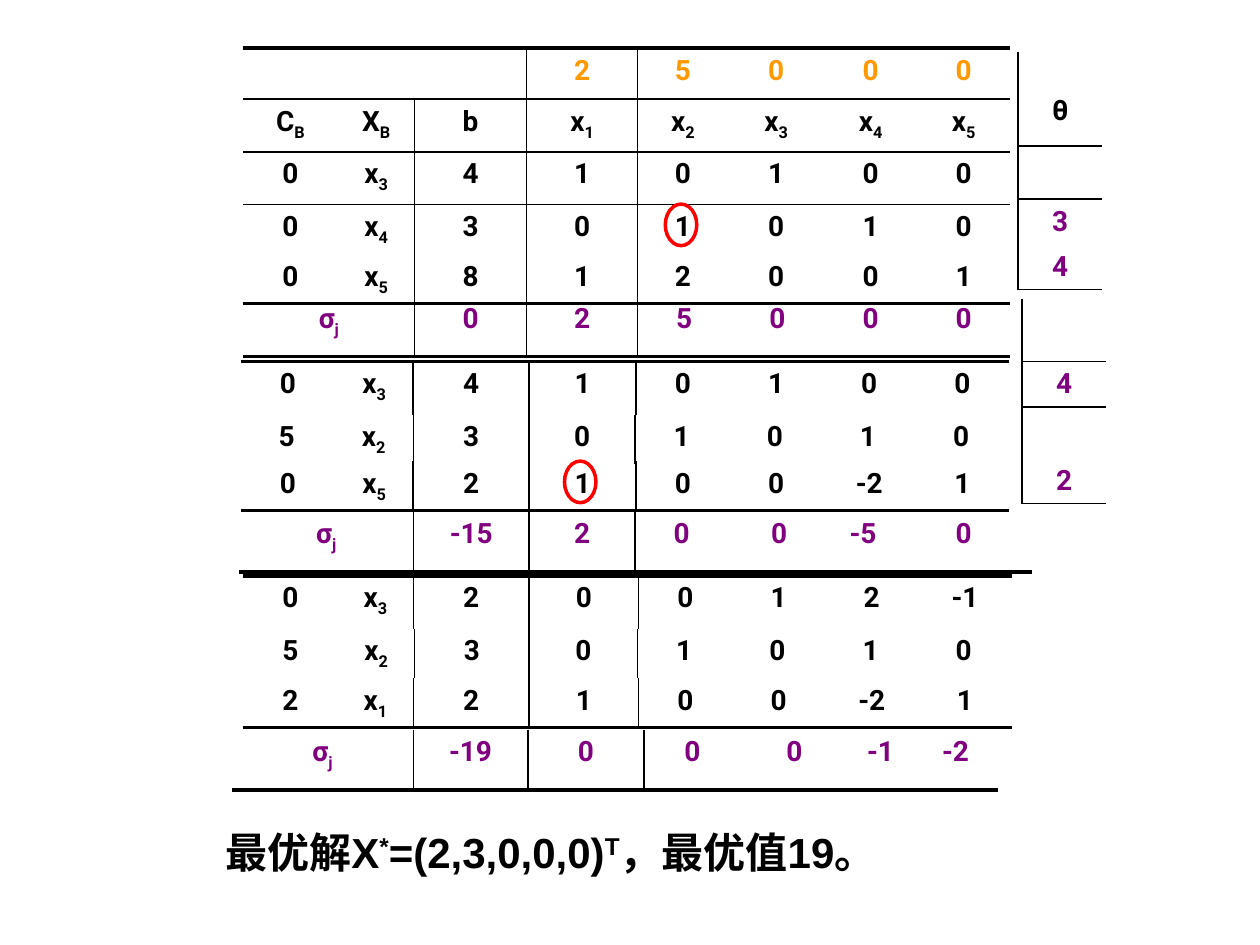
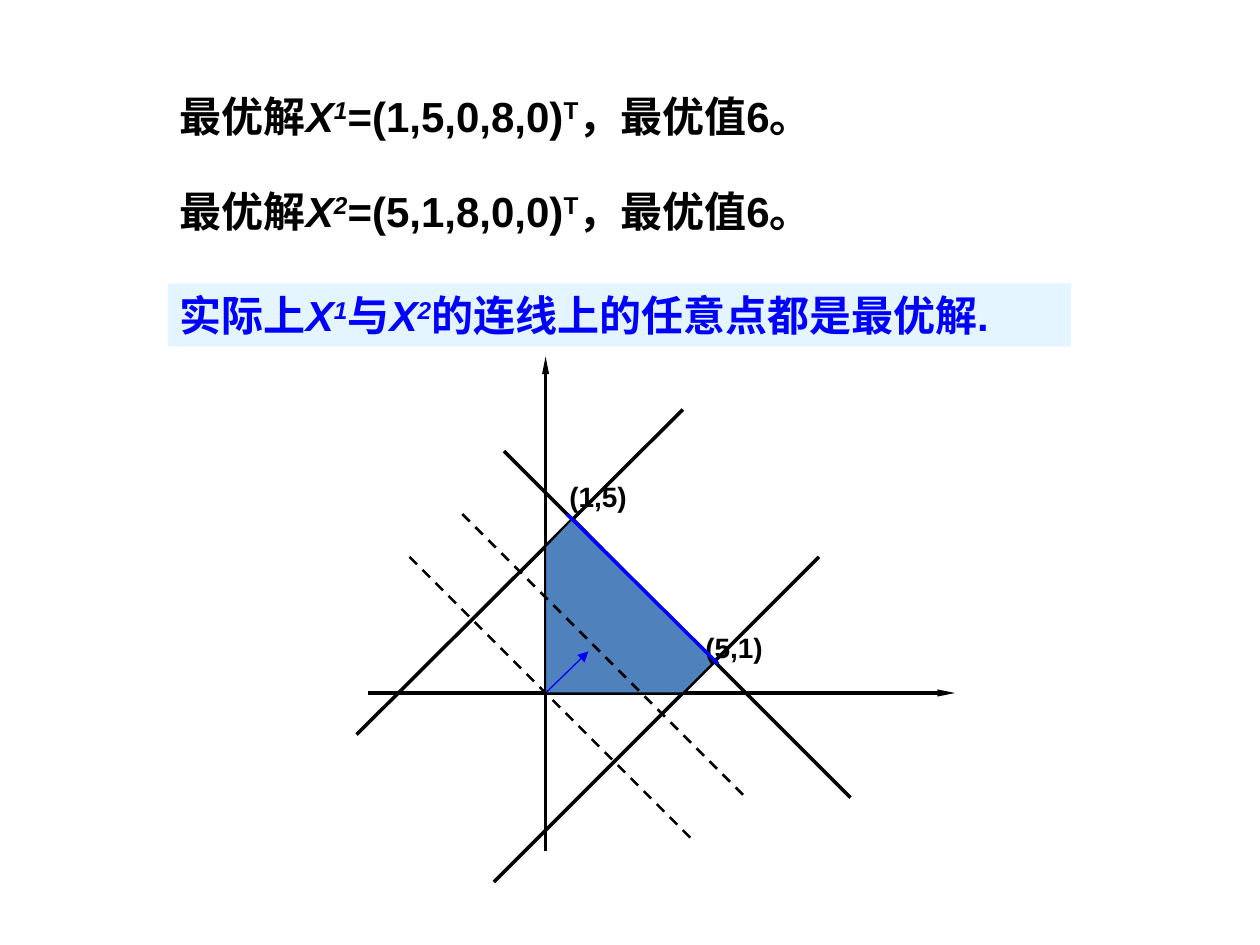
import pptx
import pptx.dml.color
import pptx.enum.dml
import pptx.enum.shapes
import pptx.enum.text
import pptx.oxml.ns
import pptx.util
from lxml import etree
from pptx.util import Inches

BLACK, PURPLE, ORANGE, RED, BLUE = "000000", "800080", "FF9900", "FF0000", "0000FF"
REGION_FILL, NOTE_FILL = "4F81BD", "CCECFF"
HEAVY, THIN = 2.25, 1
NO_TABLE_STYLE = "{2D5ABB26-0587-4C30-8999-92F81FD0307C}"
BASELINES = {"^": "30000", "_": "-25000"}
ANCHOR = pptx.enum.text.MSO_ANCHOR
qn = pptx.oxml.ns.qn


def rgb(value):
    return pptx.dml.color.RGBColor.from_string(value)


def child(parent, tag, **attrs):
    return etree.SubElement(parent, qn(tag), attrs)


class Deck:
    body = {"name": "Arial", "size": pptx.util.Pt(24), "bold": True}
    label = {**body, "size": pptx.util.Pt(16)}
    figure = {**label, "name": "Roboto"}

    def __init__(self):
        self.prs = pptx.Presentation()
        self.prs.slide_width, self.prs.slide_height = Inches(10), Inches(7.5)

    def new_slide(self):
        self.s = self.prs.slides.add_slide(self.prs.slide_layouts[6])

    def add_runs(self, p, text, style, color):
        for part in text.split("|"):
            r = p.add_run()
            for name, value in style.items():
                setattr(r.font, name, value)
            r.font.color.rgb = rgb(color)
            if part.startswith("/"):
                r.font.italic = True
                part = part[1:]
            if part[:1] in BASELINES:
                r.font._element.set("baseline", BASELINES[part[0]])
                part = part[1:]
            r.text = part

    def fill_frame(self, sp, text, style, color, anchor):
        tf = sp.text_frame
        tf.word_wrap = True
        tf.auto_size = pptx.enum.text.MSO_AUTO_SIZE.SHAPE_TO_FIT_TEXT
        tf.vertical_anchor = anchor
        tf.paragraphs[0].alignment = pptx.enum.text.PP_ALIGN.LEFT
        self.add_runs(tf.paragraphs[0], text, style, color)

    def text(self, box, text, style=body, anchor=ANCHOR.TOP):
        sp = self.s.shapes.add_textbox(*map(Inches, box))
        self.fill_frame(sp, text, style, BLACK, anchor)

    def note(self, box, text, color):
        sp = self.s.shapes.add_shape(
            pptx.enum.shapes.MSO_SHAPE.RECTANGLE, *map(Inches, box))
        sp.shadow.inherit = False
        sp.fill.solid()
        sp.fill.fore_color.rgb = rgb(NOTE_FILL)
        child(next(sp._element.spPr.iter(qn("a:srgbClr"))), "a:alpha", val="50000")
        sp.line.fill.background()
        self.fill_frame(sp, text, self.body, color, ANCHOR.TOP)

    def pivot(self, left, top):
        sp = self.s.shapes.add_shape(
            pptx.enum.shapes.MSO_SHAPE.OVAL,
            *map(Inches, (left, top, 0.25, 0.33)))
        sp.shadow.inherit = False
        sp.fill.background()
        sp.line.color.rgb = rgb(RED)
        sp.line.width = pptx.util.Pt(2)

    def line(self, start, end, color=BLACK, width=2, dash=False, arrow=None):
        sp = self.s.shapes.add_connector(
            pptx.enum.shapes.MSO_CONNECTOR.STRAIGHT, *map(Inches, start + end))
        sp.line.color.rgb = rgb(color)
        sp.line.width = pptx.util.Pt(width)
        if dash:
            sp.line.dash_style = pptx.enum.dml.MSO_LINE.DASH
        if arrow:
            w, length = arrow
            child(sp.line._get_or_add_ln(), "a:tailEnd",
                  type="triangle", w=w, len=length)
        child(sp._element.spPr, "a:effectLst")

    def region(self, points):
        points = [tuple(map(Inches, point)) for point in points]
        builder = self.s.shapes.build_freeform(*points[0])
        builder.add_line_segments(points[1:], close=True)
        sp = builder.convert_to_shape()
        sp.shadow.inherit = False
        sp.fill.solid()
        sp.fill.fore_color.rgb = rgb(REGION_FILL)
        sp.line.color.rgb = rgb(BLACK)
        sp.line.width = pptx.util.Pt(0.75)

    def borders(self, cell, weights):
        tcPr = cell._tc.get_or_add_tcPr()
        for side, weight in zip("LRTB", weights):
            if weight:
                ln = child(tcPr, "a:ln" + side, w=str(pptx.util.Pt(weight)))
                child(child(ln, "a:solidFill"), "a:srgbClr", val=BLACK)
        cell.fill.background()

    def table(self, left, top, height, cols, rows, texts, colors,
              across, down, head_span=0):
        frame = self.s.shapes.add_table(
            len(rows), len(cols), *map(Inches, (left, top, sum(cols), height)))
        t = frame.table
        t.first_row = t.horz_banding = False
        next(frame._element.iter(qn("a:tableStyleId"))).text = NO_TABLE_STYLE
        for column, width in zip(t.columns, cols):
            column.width = Inches(width)
        for row, row_height in zip(t.rows, rows):
            row.height = Inches(row_height)
        frame.height = Inches(height)
        if head_span:
            t.cell(0, 0).merge(t.cell(0, head_span - 1))
        for i, line in enumerate(texts):
            edges = [e for e in down if i or e >= head_span]
            for j, text in enumerate(line):
                cell = t.cell(i, j)
                self.borders(cell, (THIN * (j in edges), THIN * (j + 1 in edges),
                                    across[i], across[i + 1]))
                if text:
                    p = cell.text_frame.paragraphs[0]
                    p.alignment = pptx.enum.text.PP_ALIGN.CENTER
                    self.add_runs(p, text, self.figure, colors[i])
        return t

    def strip(self, left, top, height, cols, text, across, color=BLACK):
        edges = (1, 2) if color == PURPLE else (2, 3)
        self.table(left, top, height, cols, [height], [text.split()], [color],
                   across, edges)


def simplex_slide(deck):
    deck.new_slide()
    start = ["C|_B X|_B b x|_1 x|_2 x|_3 x|_4 x|_5",
             "0 x|_3 4 1 0 1 0 0", "0 x|_4 3 0 1 0 1 0", "0 x|_5 8 1 2 0 0 1"]
    deck.table(1.93, 0.38, 1.93, [0.75, 0.61, 0.89, 0.88, 0.72, 0.76, 0.74, 0.74],
               [0.33, 0.42, 0.42, 0.25, 0.2],
               [["", "", "", *"25000"]] + [line.split() for line in start],
               [ORANGE] + [BLACK] * 4, [HEAVY, THIN, THIN, 0, 0, HEAVY], (2, 3), 3)

    rest = [0.74] * 4
    opened, plain, closed = (HEAVY, 0), (0, 0), (0, HEAVY)
    basis_rows = [
        (1.91, 2.87, 0.42, [0.75, 0.62, 0.92, 0.85], "0 x|_3 4 1 0 1 0 0", opened),
        (1.9, 3.29, 0.37, [0.75, 0.63, 0.92, 0.84], "5 x|_2 3 0 1 0 1 0", plain),
        (1.91, 3.66, 0.37, [0.75, 0.62, 0.92, 0.85], "0 x|_5 2 1 0 0 -2 1", closed),
        (1.93, 4.57, 0.42, [0.75, 0.6, 0.92, 0.87], "0 x|_3 2 0 0 1 2 -1", opened),
        (1.93, 4.99, 0.37, [0.75, 0.61, 0.91, 0.86], "5 x|_2 3 0 1 0 1 0", plain),
        (1.93, 5.38, 0.37, [0.75, 0.6, 0.92, 0.87], "2 x|_1 2 1 0 0 -2 1", closed),
    ]
    for left, top, height, cols, text, across in basis_rows:
        deck.strip(left, top, height, cols + rest, text, across)

    sigma_rows = [
        (1.93, 2.35, [1.36, 0.89, 0.88] + rest, "0 2 5 0 0 0"),
        (1.9, 4.06, [1.38, 0.92, 0.84, 0.74, 0.81, 0.52, 1.08], "-15 2 0 0 -5 0"),
        (1.84, 5.79, [1.44, 0.91, 0.92, 0.77, 0.85, 0.52, 0.67], "-19 0 0 0 -1 -2"),
    ]
    for left, top, cols, values in sigma_rows:
        deck.strip(left, top, 0.48, cols, "σ|_j " + values, closed, PURPLE)

    ratio_colors = [BLACK] + [PURPLE] * 3
    ratio_rules = [0, THIN, 0, 0, THIN]
    theta = deck.table(8.08, 0.41, 1.9, [0.67], [0.75, 0.42, 0.33, 0.25],
                       [["θ"], [""], ["3"], ["4"]], ratio_colors, ratio_rules, (0,))
    theta.cell(0, 0).margin_top = Inches(0.34)
    deck.table(8.11, 2.37, 1.6, [0.67], [0.5, 0.36, 0.29, 0.25],
               [[""], ["4"], [""], ["2"]], ratio_colors, ratio_rules, (0,))

    deck.pivot(5.28, 1.62)
    deck.pivot(4.48, 3.66)
    deck.text((1.69, 6.51, 7.58, 0.5), "最优解X|^*|=(2,3,0,0,0)|^T|，最优值19。")


def graph_slide(deck):
    deck.new_slide()
    solutions = [("1", "(1,5,0,8,0)"), ("2", "(5,1,8,0,0)")]
    for i, (number, point) in enumerate(solutions):
        deck.text((1.33, 0.67 + 0.75 * i, 7.58, 0.5),
                  f"最优解|/X|/^{number}|={point}|^T|，最优值6。")
    deck.note((1.33, 2.25, 7.17, 0.5),
              "实际上|/X|/^1|与|/X|/^2|的连线上的任意点都是最优解.", BLUE)

    origin = (4.33, 5.5)
    for start, end in [((2.92, 5.5), (7.58, 5.5)), ((4.33, 6.75), (4.33, 2.83))]:
        deck.line(start, end, arrow=("sm", "lg"))
    constraints = [((2.83, 5.83), (5.42, 3.25)), ((3.92, 7), (6.5, 4.42)),
                   ((4, 3.58), (6.75, 6.33))]
    for start, end in constraints:
        deck.line(start, end)
    deck.region([origin, (4.33, 4.34), (4.55, 4.11), (5.67, 5.25), (5.42, 5.5)])
    for left, top, vertex in [(5.5, 4.95, "(5,1)"), (4.42, 3.75, "(1,5)")]:
        deck.text((left, top, 1.08, 0.37), vertex, deck.label, ANCHOR.BOTTOM)
    deck.line((4.5, 4.08), (5.7, 5.27), BLUE)
    deck.line(origin, (4.67, 5.17), BLUE, 0.75, arrow=("med", "med"))
    for left, top in [(3.25, 4.42), (3.67, 4.08)]:
        deck.line((left, top), (left + 2.25, top + 2.25), width=1.5, dash=True)


def main():
    deck = Deck()
    simplex_slide(deck)
    graph_slide(deck)
    deck.prs.save("out.pptx")


if __name__ == "__main__":
    main()
